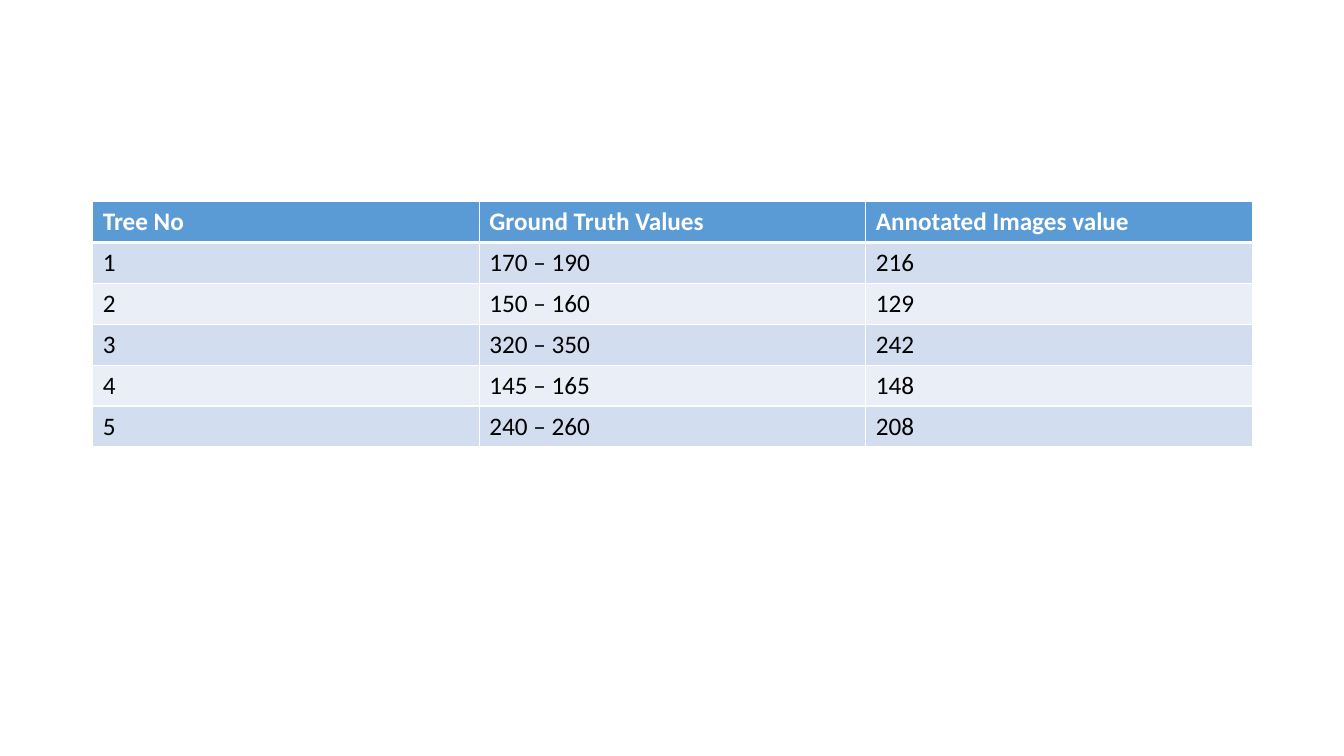
from lxml import etree
from pptx import Presentation
from pptx import util as u
from pptx.dml.color import RGBColor
from pptx.oxml import ns

WHITE, BLACK, HEADER_BLUE = "FFFFFF", "000000", "5B9BD5"
BANDS = ("D2DEEF", "EAEFF7")
ROWS = [
    ("Tree No", "Ground Truth Values", "Annotated Images value"),
    ("1", "170 – 190", "216"),
    ("2", "150 – 160", "129"),
    ("3", "320 – 350", "242"),
    ("4", "145 – 165", "148"),
    ("5", "240 – 260", "208"),
]


def paint(color_format, color):
    color_format.rgb = RGBColor.from_string(color)


def add_borders(cell, widths, color):
    """Draw cell edges; widths maps L, R, T and B, in that order, to points."""
    properties = cell._tc.get_or_add_tcPr()
    for side, width in widths.items():
        line = etree.SubElement(properties, ns.qn(f"a:ln{side}"), w=str(u.Pt(width)))
        fill = etree.SubElement(line, ns.qn("a:solidFill"))
        etree.SubElement(fill, ns.qn("a:srgbClr"), val=color)


def style_cell(cell, row):
    is_header = row == 0
    add_borders(cell, {"L": 1, "R": 1, "T": 3 if row == 1 else 1,
                       "B": 3 if is_header else 1}, WHITE)
    cell.fill.solid()
    paint(cell.fill.fore_color, HEADER_BLUE if is_header else BANDS[(row - 1) % 2])
    font = cell.text_frame.paragraphs[0].runs[0].font
    font.name, font.size, font.bold = "Calibri", u.Pt(18), is_header
    paint(font.color, WHITE if is_header else BLACK)


def add_tree_table(page, left, top, width, height):
    table = page.shapes.add_table(len(ROWS), len(ROWS[0]),
                                  left, top, width, height).table
    for row, values in enumerate(ROWS):
        for column, value in enumerate(values):
            cell = table.cell(row, column)
            cell.text_frame.text = value
            style_cell(cell, row)


def main():
    deck = Presentation()
    deck.slide_width, deck.slide_height = u.Inches(13.33), u.Inches(7.5)
    page = deck.slides.add_slide(deck.slide_layouts[6])
    add_tree_table(page, u.Inches(0.92), u.Inches(2), u.Inches(11.5), u.Inches(2.43))
    deck.save("out.pptx")


if __name__ == "__main__":
    main()
